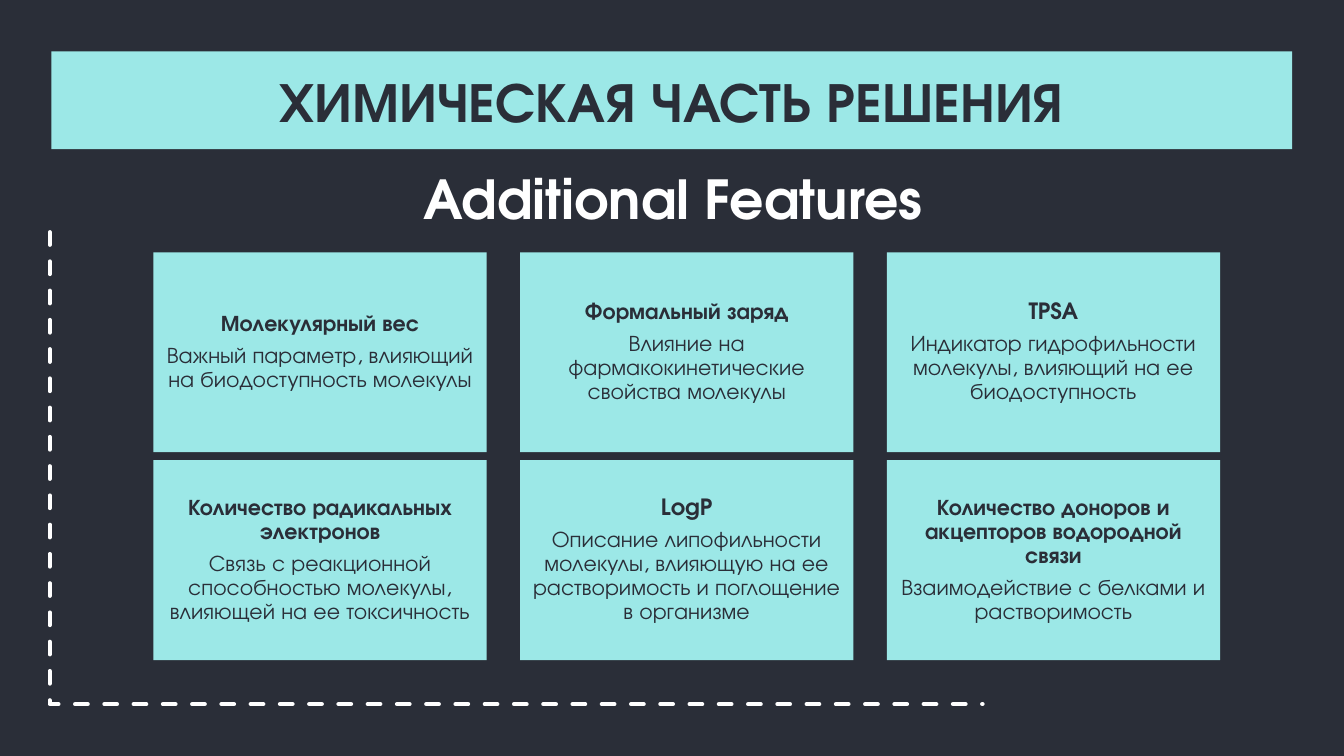
import pptx
import pptx.dml.color
import pptx.enum.dml
import pptx.enum.shapes
import pptx.enum.text
import pptx.util

Cm, Pt = pptx.util.Cm, pptx.util.Pt

FEATURES = [
    ("Молекулярный вес", "Важный параметр, влияющий на биодоступность молекулы"),
    ("Формальный заряд", "Влияние на фармакокинетические свойства молекулы"),
    ("TPSA", "Индикатор гидрофильности молекулы, влияющий на ее биодоступность"),
    ("Количество радикальных электронов",
     "Связь с реакционной способностью молекулы, влияющей на ее токсичность"),
    ("LogP", "Описание липофильности молекулы, влияющую на ее растворимость "
             "и поглощение в организме"),
    ("Количество доноров и акцепторов водородной связи",
     "Взаимодействие с белками и растворимость"),
]


def color(value):
    return pptx.dml.color.RGBColor.from_string(value)


class Deck:
    FONT = "TeX Gyre Adventor"
    DARK, MINT, WHITE = "2A2E38", "9CE8E7", "FFFFFF"

    def __init__(self, prs):
        self.slide = prs.slides.add_slide(prs.slide_layouts[0])
        self.fill(self.slide.background, self.DARK)

    def fill(self, sp, value):
        sp.fill.solid()
        sp.fill.fore_color.rgb = color(value)

    def frame(self, sp, margin):
        tf = sp.text_frame
        tf.word_wrap = True
        tf.auto_size = pptx.enum.text.MSO_AUTO_SIZE.NONE
        tf.vertical_anchor = pptx.enum.text.MSO_ANCHOR.MIDDLE
        tf.margin_left = tf.margin_right = margin
        tf.margin_top = tf.margin_bottom = margin
        return tf

    def run(self, p, text, size, value, bold=True):
        p.alignment = pptx.enum.text.PP_ALIGN.CENTER
        r = p.add_run()
        r.text = text
        r.font.name = self.FONT
        r.font.size = Pt(size)
        r.font.bold = bold
        r.font.color.rgb = color(value)

    def heading(self, sp, text, x, y, w, h, size, value):
        """Move a placeholder and write one centred line in it."""
        sp.left, sp.top, sp.width, sp.height = Cm(x), Cm(y), Cm(w), Cm(h)
        p = self.frame(sp, Cm(0.25)).paragraphs[0]
        p.space_before = Pt(0)
        self.run(p, text, size, value)

    def card(self, name, description, x, y, w, h):
        sp = self.slide.shapes.add_shape(
            pptx.enum.shapes.MSO_SHAPE.RECTANGLE, Cm(x), Cm(y), Cm(w), Cm(h))
        sp.shadow.inherit = False
        self.fill(sp, self.MINT)
        sp.line.fill.background()
        tf = self.frame(sp, Cm(0.13))
        for i, text in enumerate((name, description)):
            p = tf.add_paragraph() if i else tf.paragraphs[0]
            p.line_spacing = 0.9
            p.space_after = Pt(4.2)
            self.run(p, text, 12, self.DARK, bold=i == 0)

    def dashed_path(self, points):
        start, *rest = [(Cm(x), Cm(y)) for x, y in points]
        builder = self.slide.shapes.build_freeform(*start)
        builder.add_line_segments(rest, close=False)
        sp = builder.convert_to_shape()
        sp.shadow.inherit = False
        sp.fill.background()
        sp.line.color.rgb = color(self.WHITE)
        sp.line.width = Pt(2.25)
        sp.line.dash_style = pptx.enum.dml.MSO_LINE.DASH
        sp.line._get_or_add_ln().set("cap", "rnd")


def main():
    prs = pptx.Presentation()
    prs.slide_width, prs.slide_height = Cm(25.4), Cm(14.29)
    deck = Deck(prs)
    title, subtitle = deck.slide.placeholders

    deck.dashed_path([(0.94, 4.39), (0.94, 13.31), (18.57, 13.31)])
    deck.fill(title, deck.MINT)
    deck.heading(title, "ХИМИЧЕСКАЯ ЧАСТЬ РЕШЕНИЯ", 0.97, 0.97, 23.45, 1.85, 30, deck.DARK)
    deck.heading(subtitle, "Additional Features", 6.58, 3.35, 12.27, 0.79, 28.8, deck.WHITE)

    for i, (name, description) in enumerate(FEATURES):
        row, col = divmod(i, 3)
        deck.card(name, description, 2.9 + 6.93 * col, 4.77 + 3.93 * row, 6.3, 3.78)

    prs.save("out.pptx")


if __name__ == "__main__":
    main()
